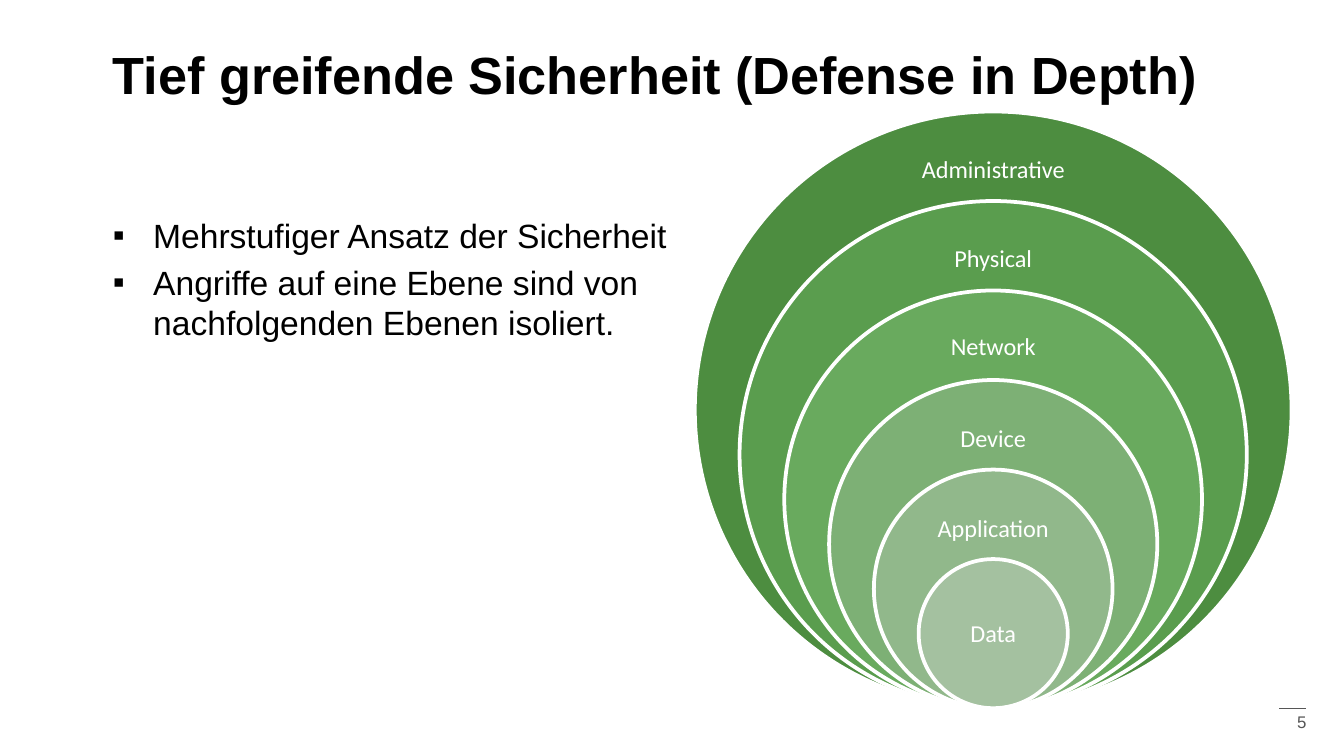
from lxml.etree import SubElement
from pptx import Presentation
from pptx.dml.color import RGBColor
from pptx.enum.shapes import MSO_CONNECTOR as Connector, MSO_SHAPE as Shape
from pptx.enum.text import MSO_ANCHOR as Anchor, MSO_AUTO_SIZE as AutoSize, PP_ALIGN as Align
from pptx.oxml.ns import qn
from pptx.util import Inches, Pt


def paint(color_format, color):
    color_format.rgb = RGBColor.from_string(color)


def write(para, text, size, color="000000", font="Arial", bold=False, align=Align.LEFT):
    para.text = text
    para.alignment = align
    for span in para.runs:
        span.font.name = font
        span.font.size = Pt(size)
        span.font.bold = bold
        paint(span.font.color, color)


deck = Presentation()
deck.slide_width = Inches(10)
deck.slide_height = deck.slide_width * 9 // 16
page = deck.slides.add_slide(deck.slide_layouts[1])
title, body = page.placeholders

for box, top, height, anchor in [(title, 0.26, 0.57, Anchor.MIDDLE), (body, 1.55, 3.46, Anchor.TOP)]:
    box.left, box.top = Inches(0.74), Inches(top)
    box.width, box.height = Inches(8.52), Inches(height)
    box.text_frame.vertical_anchor = anchor
    box.text_frame.auto_size = AutoSize.NONE

write(title.text_frame.paragraphs[0], "Tief greifende Sicherheit (Defense in Depth)", 28, bold=True)

points = [
    "Mehrstufiger Ansatz der Sicherheit",
    "Angriffe auf eine Ebene sind von\vnachfolgenden Ebenen isoliert.",
]
for index, point in enumerate(points):
    para = body.text_frame.add_paragraph() if index else body.text_frame.paragraphs[0]
    write(para, point, 18)
    para.space_before = Pt(3.6)
    properties = para._p.get_or_add_pPr()
    properties.set("marL", str(Inches(0.3)))
    properties.set("indent", str(-Inches(0.3)))
    bullet_color = SubElement(properties, qn("a:buClr"))
    SubElement(bullet_color, qn("a:srgbClr"), val="000000")
    SubElement(properties, qn("a:buFont"), typeface="Arial")
    SubElement(properties, qn("a:buChar"), char="▪")

layers = [
    ("Administrative", "4D8D40", 1.67, 0.22, 0.44),
    ("Physical", "5A9D4E", 1.63, 0.22, 0.43),
    ("Network", "69AA5E", 1.61, 0.21, 0.43),
    ("Device", "7DB075", 1.32, 0.22, 0.44),
    ("Application", "91B88B", 1.16, 0.23, 0.44),
    ("Data", "A4C1A0", 0.79, 0.28, 0.56),
]
center, bottom = 7.39, 5.27
outer, inner = 4.44, 1.11
step = (outer - inner) / (len(layers) - 1)
rings = page.shapes.add_group_shape()
for index, (name, color, label_width, offset, label_height) in enumerate(layers):
    diameter = outer - index * step
    top = bottom - diameter
    ring = rings.shapes.add_shape(
        Shape.OVAL, Inches(center - diameter / 2), Inches(top), Inches(diameter), Inches(diameter))
    ring.shadow.inherit = False
    ring.fill.solid()
    paint(ring.fill.fore_color, color)
    paint(ring.line.color, "FFFFFF")
    ring.line.width = Pt(2)

    label = rings.shapes.add_textbox(
        Inches(center - label_width / 2), Inches(top + offset), Inches(label_width), Inches(label_height))
    frame = label.text_frame
    frame.word_wrap = True
    frame.vertical_anchor = Anchor.MIDDLE
    frame.margin_left = frame.margin_right = frame.margin_top = frame.margin_bottom = Inches(0.1)
    write(frame.paragraphs[0], name, 13, "FFFFFF", "Calibri", align=Align.CENTER)
    frame.paragraphs[0].line_spacing = 0.9

rule = page.shapes.add_connector(
    Connector.STRAIGHT, Inches(9.52), Inches(5.27), Inches(9.72), Inches(5.27))
paint(rule.line.color, "565656")
rule.line.width = Pt(0.75)
SubElement(rule._element.spPr, qn("a:effectLst"))

number = page.shapes.add_textbox(Inches(9.31), Inches(5.25), Inches(0.51), Inches(0.24))
number.text_frame.word_wrap = True
write(number.text_frame.paragraphs[0], "5", 9, "565656", align=Align.RIGHT)

deck.save("out.pptx")
